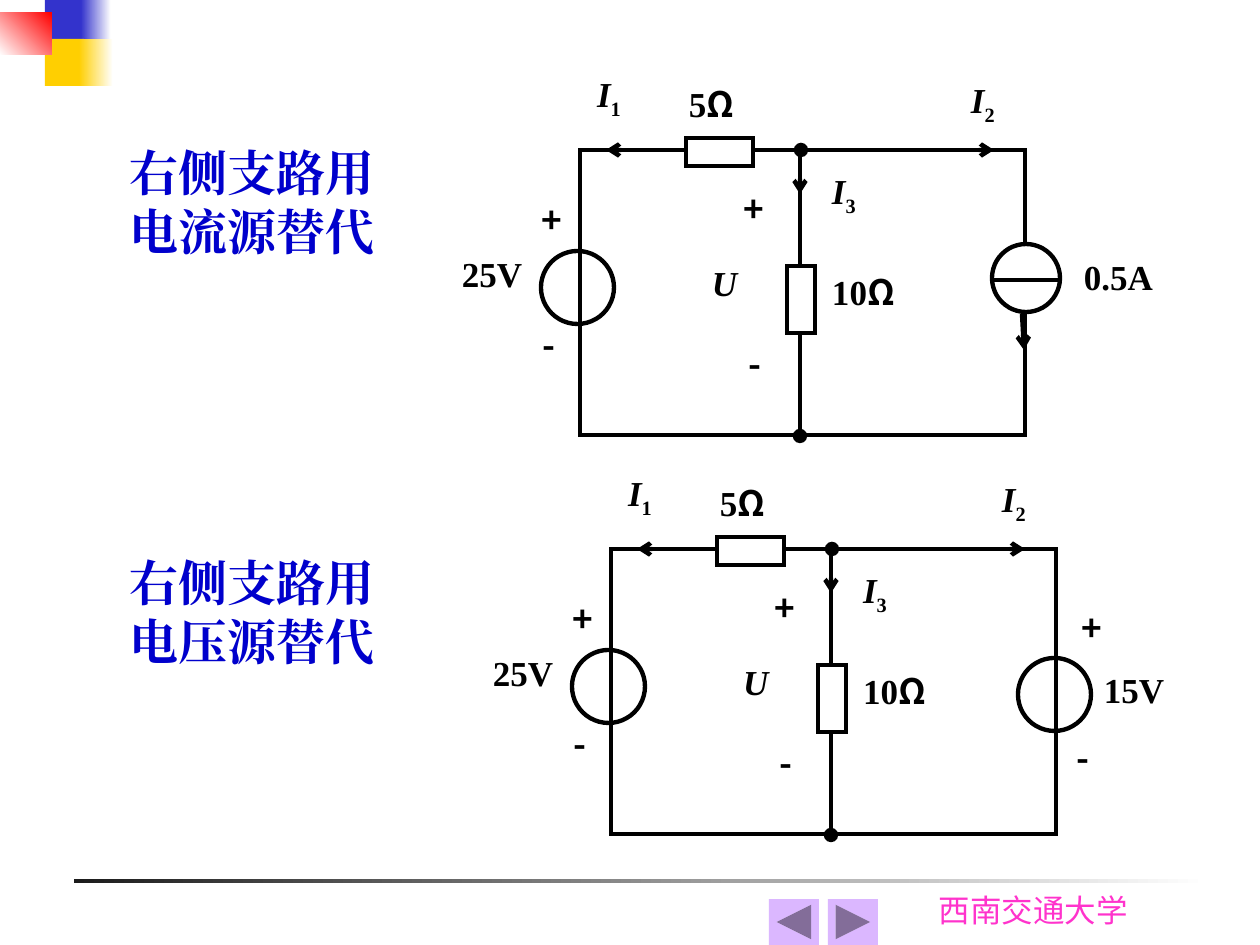
from dataclasses import dataclass
from typing import Optional

from lxml import etree
from pptx import Presentation
from pptx.dml.color import RGBColor
from pptx.enum.shapes import MSO_CONNECTOR, MSO_SHAPE
from pptx.enum.text import MSO_ANCHOR, PP_ALIGN
from pptx.oxml.ns import qn
from pptx.util import Emu, Pt

RECT, OVAL = MSO_SHAPE.RECTANGLE, MSO_SHAPE.OVAL
BACK = MSO_SHAPE.ACTION_BUTTON_BACK_OR_PREVIOUS
FORWARD = MSO_SHAPE.ACTION_BUTTON_FORWARD_OR_NEXT
STRAIGHT = MSO_CONNECTOR.STRAIGHT
LEFT, CENTER, JUSTIFY = PP_ALIGN.LEFT, PP_ALIGN.CENTER, PP_ALIGN.JUSTIFY
TOP, MIDDLE = MSO_ANCHOR.TOP, MSO_ANCHOR.MIDDLE

SERIF, SANS, FOOT = "Times New Roman", "Noto Sans CJK SC", "Karla"
C = {"black": "000000", "white": "FFFFFF", "ink": "1C1C1C", "navy": "3333CC",
     "gold": "FFCF01", "red": "FF0000", "title": "0000CC", "pink": "FF33CC",
     "button": "DBB7FF"}
WIRE = Pt(2.5)
CIRCUIT_STEP = (31, 399)


@dataclass
class Box:
    x: int
    y: int
    w: int
    h: int
    kind: int = RECT
    fill: Optional[str] = None
    fade: Optional[str] = None
    angle: int = 0
    outline: bool = False


@dataclass
class Wire:
    x1: int
    y1: int
    x2: int
    y2: int
    arrow: bool = False


@dataclass
class Run:
    text: str
    font: str = SERIF
    italic: bool = False
    sub: bool = False


@dataclass
class Label:
    x: int
    y: int
    w: int
    h: int
    runs: list[Run]


def px(n: int) -> Emu:
    return Emu(round(n * 914400 / 126))


def rgb(name: str) -> RGBColor:
    return RGBColor.from_string(C[name])


def add_box(s, b: Box, dx: int = 0, dy: int = 0) -> None:
    sp = s.shapes.add_shape(b.kind, px(b.x + dx), px(b.y + dy), px(b.w), px(b.h))
    sp.shadow.inherit = False
    if b.fade:
        sp.fill.gradient()
        sp.fill.gradient_angle = b.angle
        for stop, name in zip(sp.fill.gradient_stops, (b.fill, b.fade)):
            stop.color.rgb = rgb(name)
    elif b.fill:
        sp.fill.solid()
        sp.fill.fore_color.rgb = rgb(b.fill)
    else:
        sp.fill.background()
    if b.outline:
        sp.line.color.rgb = rgb("black")
        sp.line.width = WIRE
        etree.SubElement(sp.line._get_or_add_ln(), qn("a:miter"), lim="800000")
    else:
        sp.line.fill.background()


def add_wire(s, w: Wire, dx: int = 0, dy: int = 0) -> None:
    sp = s.shapes.add_connector(STRAIGHT, px(w.x1 + dx), px(w.y1 + dy),
                                px(w.x2 + dx), px(w.y2 + dy))
    sp.line.color.rgb = rgb("black")
    sp.line.width = WIRE
    if w.arrow:
        etree.SubElement(sp.line._get_or_add_ln(), qn("a:tailEnd"), type="arrow")
    etree.SubElement(sp._element.spPr, qn("a:effectLst"))


def add_label(s, t: Label, dx: int = 0, dy: int = 0, size: int = 20, color: str = "black",
              bold: bool = True, align: int = JUSTIFY, anchor: int = TOP,
              inset: tuple[int, int] = (0, 0)) -> None:
    sp = s.shapes.add_textbox(px(t.x + dx), px(t.y + dy), px(t.w), px(t.h))
    tf = sp.text_frame
    frame = {"word_wrap": True, "vertical_anchor": anchor,
             "margin_left": px(inset[0]), "margin_right": px(inset[0]),
             "margin_top": px(inset[1]), "margin_bottom": px(inset[1])}
    for key, value in frame.items():
        setattr(tf, key, value)
    p = tf.paragraphs[0]
    p.alignment = align
    for run in t.runs:
        r = p.add_run()
        r.text = run.text
        r.font.color.rgb = rgb(color)
        style = {"name": run.font, "size": Pt(size), "bold": bold, "italic": run.italic}
        for key, value in style.items():
            setattr(r.font, key, value)
        rPr = r._r.get_or_add_rPr()
        etree.SubElement(rPr, qn("a:ea"), typeface=run.font)
        if run.sub:
            rPr.set("baseline", "-25000")


def add_all(s, items: list, dx: int = 0, dy: int = 0) -> None:
    draw = {Box: add_box, Wire: add_wire, Label: add_label}
    for item in items:
        draw[type(item)](s, item, dx, dy)


def current(x: int, y: int, n: str) -> Label:
    return Label(x, y, 55, 89, [Run("I", italic=True), Run(n, sub=True)])


def sign(x: int, y: int, text: str) -> Label:
    return Label(x, y, 45, 63, [Run(text, SANS)])


def ohms(x: int, y: int, n: str) -> Label:
    return Label(x, y, 105, 82, [Run(n), Run("Ω", SANS)])


def value(x: int, y: int, text: str) -> Label:
    return Label(x, y, 113, 76, [Run(text)])


def resistor(x: int, y: int, w: int, h: int) -> Box:
    return Box(x, y, w, h, fill="white", outline=True)


def node(x: int, y: int) -> Box:
    return Box(x, y, 10, 10, OVAL, "black", outline=True)


def source(x: int, y: int, d: int = 73, fill: Optional[str] = None) -> Box:
    return Box(x, y, d, d, OVAL, fill, outline=True)


DECORATION = [
    Box(74, 879, 1134, 4, fill="ink", fade="white"),
    Box(45, 0, 40, 47, fill="navy"),
    Box(81, 0, 30, 47, fill="navy", fade="white"),
    Box(45, 39, 39, 47, fill="gold"),
    Box(79, 39, 34, 47, fill="gold", fade="white"),
    Box(0, 13, 52, 42, fill="white", fade="red", angle=45),
]
CIRCUIT = [
    Box(580, 150, 445, 285, outline=True), Wire(800, 150, 800, 436),
    node(796, 145), node(795, 431),
    resistor(686, 138, 67, 28), resistor(787, 266, 28, 67), source(541, 251),
    Wire(631, 150, 606, 150, True), Wire(989, 150, 994, 150, True),
    Wire(800, 189, 800, 194, True),
    current(597, 73, "1"), current(971, 79, "2"), current(832, 170, "3"),
    sign(541, 199, "+"), sign(543, 324, "-"), sign(743, 188, "+"), sign(748, 343, "-"),
    value(462, 253, "25V"), ohms(689, 82, "5"), ohms(832, 270, "10"),
    Label(712, 262, 55, 89, [Run("U", italic=True)]),
]
CURRENT_SOURCE = [
    source(992, 244, 68, "white"), Wire(994, 280, 1062, 280),
    Wire(1022, 314, 1024, 350, True), value(1084, 256, "0.5A"),
]
VOLTAGE_SOURCE = [
    source(1018, 658), sign(1081, 607, "+"), sign(1076, 737, "-"), value(1104, 669, "15V"),
]
TITLES = [(136, "右侧支路用电流源替代"), (546, "右侧支路用电压源替代")]
BUTTONS = [Box(769, 899, 50, 46, BACK, "button"), Box(828, 899, 50, 46, FORWARD, "button")]


def main() -> None:
    prs = Presentation()
    prs.slide_width, prs.slide_height = px(1260), px(945)
    s = prs.slides.add_slide(prs.slide_layouts[6])
    add_all(s, DECORATION)
    add_label(s, Label(926, 885, 228, 50, [Run("西南交通大学", FOOT)]), size=18,
              color="pink", bold=False, align=LEFT, inset=(13, 6))
    add_all(s, CIRCUIT + CURRENT_SOURCE)
    add_all(s, CIRCUIT, *CIRCUIT_STEP)
    add_all(s, VOLTAGE_SOURCE)
    for y, text in TITLES:
        add_label(s, Label(105, y, 294, 131, [Run(text)]), size=28, color="title",
                  align=CENTER, anchor=MIDDLE, inset=(13, 6))
    add_all(s, BUTTONS)
    prs.save("out.pptx")


if __name__ == "__main__":
    main()
